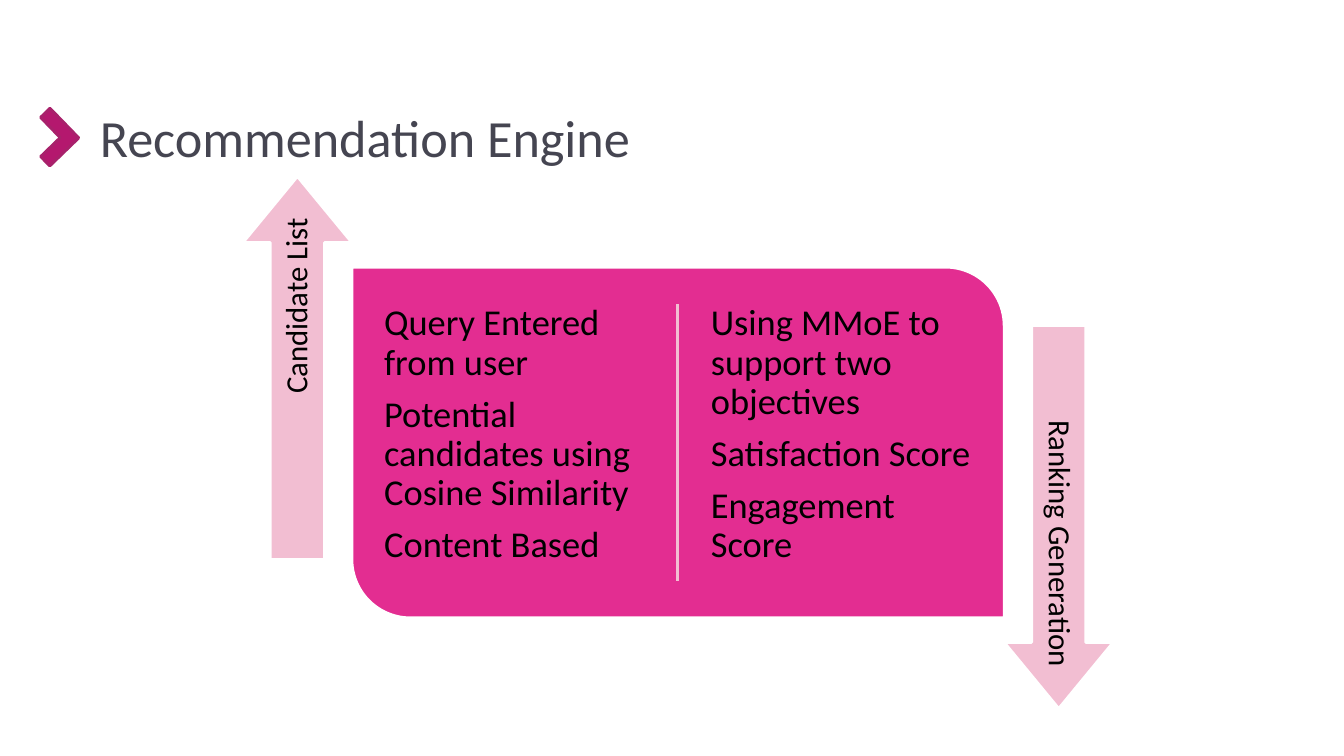
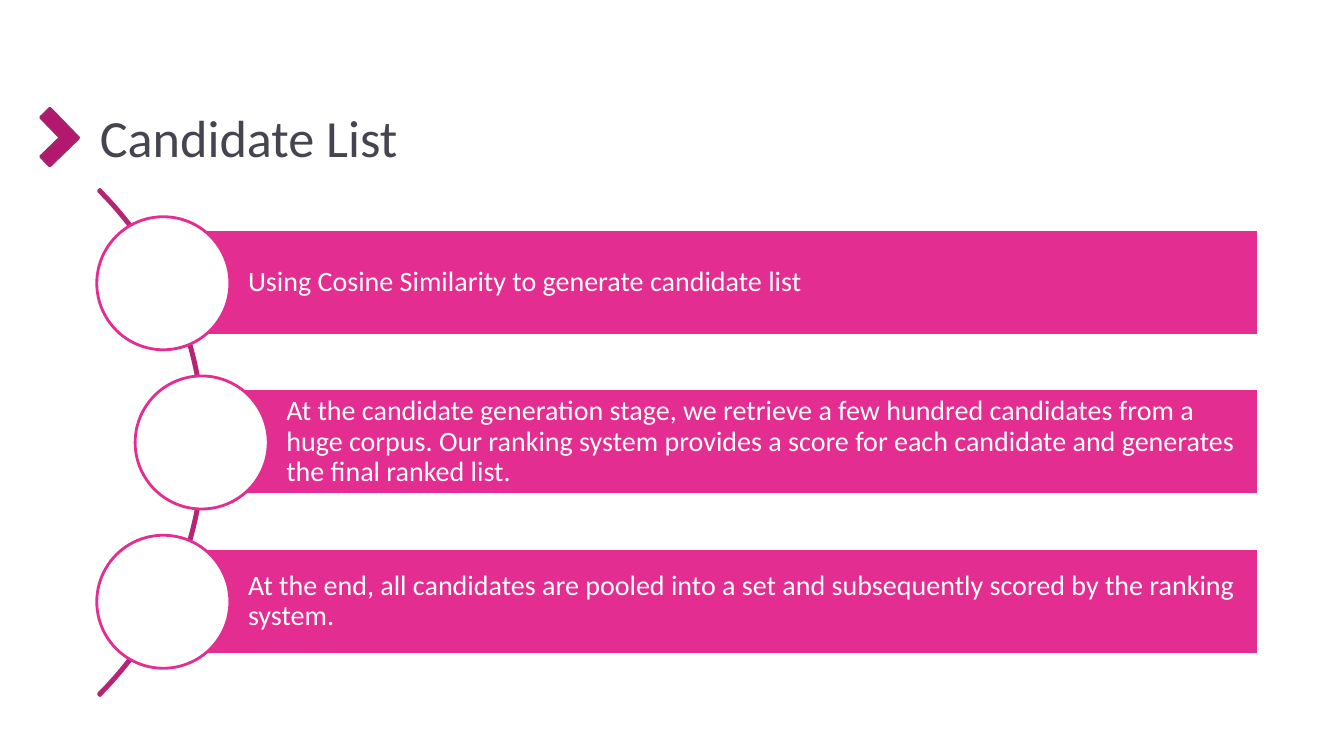
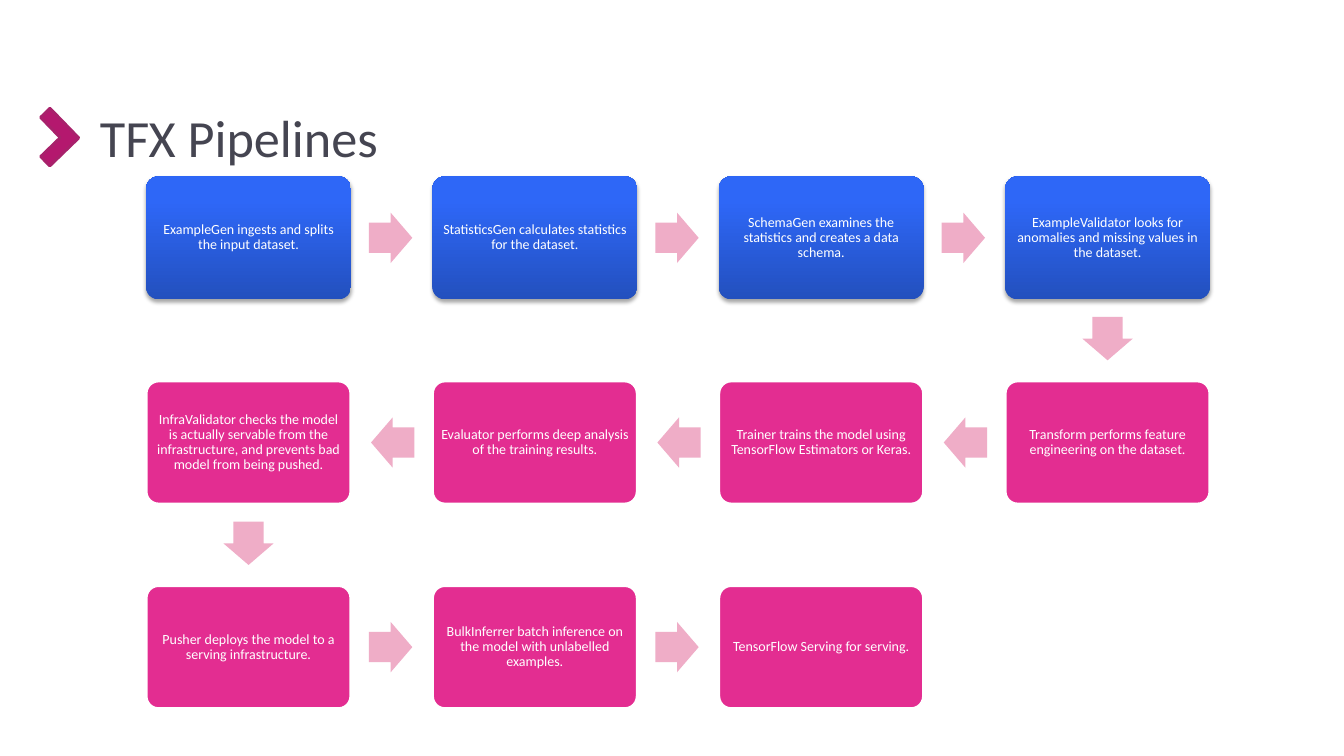
from lxml import etree
from pptx import Presentation
from pptx.dml.color import RGBColor
from pptx.enum.shapes import MSO_CONNECTOR as Link, MSO_SHAPE as Kind
from pptx.enum.text import MSO_ANCHOR as Anchor, MSO_AUTO_SIZE as Fit, PP_ALIGN as Align
from pptx.oxml import parse_xml
from pptx.oxml.ns import qn
from pptx.util import Pt

PINK = RGBColor(0xE3, 0x2D, 0x91)
ROSE = RGBColor(0xF2, 0xBE, 0xD2)
BLUSH = RGBColor(0xEF, 0xAD, 0xC7)
PLUM = RGBColor(0xB4, 0x18, 0x6E)
EDGE = RGBColor(0xA8, 0x21, 0x6B)
ARC = RGBColor(0xB6, 0x24, 0x74)
NAVY = RGBColor(0x23, 0x50, 0xBE)
BLUE = RGBColor(0x2E, 0x67, 0xF7)
SLATE = RGBColor(0x45, 0x45, 0x51)
WHITE = RGBColor(0xFF, 0xFF, 0xFF)
BLACK = RGBColor(0, 0, 0)
FONT = "Calibri"
PX = 9144

CHEVRON = [(29, 116), (42, 116), (42, 143), (70, 143), (70, 156), (29, 156)]

ENGINE = "Recommendation Engine"
LISTS = [
    ["Query Entered from user", "Potential candidates using Cosine Similarity", "Content Based"],
    ["Using MMoE to support two objectives", "Satisfaction Score", "Engagement Score"],
]
ARROWS = [
    ("Candidate List", 105, 311, 270),
    ("Ranking Generation", 860, 459, 90),
]

CANDS = "Candidate List"
BARS = [
    (162, "Using Cosine Similarity to generate candidate list"),
    (200, "At the candidate generation stage, we retrieve a few hundred candidates from a huge corpus. "
          "Our ranking system provides a score for each candidate and generates the final ranked list."),
    (162, "At the end, all candidates are pooled into a set and subsequently scored by the ranking system."),
]

PIPES = "TFX Pipelines"
STEPS = [
    "ExampleGen ingests and splits the input dataset.",
    "StatisticsGen calculates statistics for the dataset.",
    "SchemaGen examines the statistics and creates a data schema.",
    "ExampleValidator looks for anomalies and missing values in the dataset.",
    "Transform performs feature engineering on the dataset.",
    "Trainer trains the model using TensorFlow Estimators or Keras.",
    "Evaluator performs deep analysis of the training results.",
    "InfraValidator checks the model is actually servable from the infrastructure, "
    "and prevents bad model from being pushed.",
    "Pusher deploys the model to a serving infrastructure.",
    "BulkInferrer batch inference on the model with unlabelled examples.",
    "TensorFlow Serving for serving.",
]
COLS = 4

SHADE = (
    '<a:outerShdw xmlns:a="http://schemas.openxmlformats.org/drawingml/2006/main" '
    'blurRad="39370" dist="22860" dir="5400000" rotWithShape="0">'
    '<a:srgbClr val="000000"><a:alpha val="35000"/></a:srgbClr></a:outerShdw>'
)


def scale(*vals):
    return [round(v * PX) for v in vals]


def put(item, vals):
    for key, val in vals.items():
        setattr(item, key, val)


def write(shape, lines, size, color, align=Align.LEFT, anchor=Anchor.MIDDLE, pad=(4, 4, 4, 4), lead=0.9, gap=0):
    frame = shape.text_frame
    sides = ("margin_left", "margin_top", "margin_right", "margin_bottom")
    put(frame, {"word_wrap": True, "auto_size": Fit.NONE, "vertical_anchor": anchor,
                **dict(zip(sides, scale(*pad)))})
    for i, line in enumerate(lines):
        para = frame.add_paragraph() if i else frame.paragraphs[0]
        put(para, {"alignment": align, "line_spacing": lead, "space_before": Pt(0), "space_after": Pt(gap)})
        run = para.add_run()
        run.text = line
        put(run.font, {"name": FONT, "size": Pt(size)})
        run.font.color.rgb = color


def paint(shape, fill, line, turn=0):
    shape.shadow.inherit = False
    shape.rotation = turn
    shape.fill.solid()
    shape.fill.fore_color.rgb = fill
    if line is None:
        shape.line.fill.background()
    else:
        shape.line.color.rgb = line
        shape.line.width = Pt(2)


def draw(slide, kind, box, fill, line=None, adj=(), turn=0):
    shape = slide.shapes.add_shape(kind, *scale(*box))
    for i, val in enumerate(adj):
        shape.adjustments[i] = val
    paint(shape, fill, line, turn)
    return shape


def start(deck, title):
    slide = deck.slides.add_slide(deck.slide_layouts[5])
    pen = slide.shapes.build_freeform(*CHEVRON[0], scale=PX)
    pen.add_line_segments(CHEVRON[1:], close=True)
    paint(pen.convert_to_shape(), PLUM, EDGE, 225.9)
    head = slide.shapes.title
    put(head, dict(zip(("left", "top", "width", "height"), scale(89, 97, 1167, 78))))
    write(head, [title], 37.3, SLATE, pad=(10, 5, 10, 5), lead=1.0)
    return slide


def engine(deck):
    slide = start(deck, ENGINE)
    draw(slide, Kind.ROUND_2_DIAG_RECTANGLE, (349, 265, 647, 348), PINK, WHITE, (0, 0.167))
    rule = slide.shapes.add_connector(Link.STRAIGHT, *scale(672, 302, 672, 576))
    rule.line.color.rgb = ROSE
    rule.line.width = Pt(2)
    etree.SubElement(rule._element.spPr, qn("a:effectLst"))
    for i, lines in enumerate(LISTS):
        box = slide.shapes.add_textbox(*scale(370 + 324 * i, 291, 281, 295))
        write(box, lines, 26, BLACK, anchor=Anchor.TOP, pad=(11,) * 4, gap=9)
    for text, x, y, turn in ARROWS:
        arrow = draw(slide, Kind.RIGHT_ARROW, (x, y, 380, 108), ROSE, WHITE, (0.498, 0.607), turn)
        write(arrow, [text], 22, BLACK, Align.RIGHT, pad=(9,) * 4)


def cands(deck):
    slide = start(deck, CANDS)
    draw(slide, Kind.BLOCK_ARC, (-507, 84, 710, 710), ARC, ARC, (189, 27, 0.003))
    for i, (x, text) in enumerate(BARS):
        y = 228 + 158 * i
        bar = draw(slide, Kind.RECTANGLE, (x, y, 1248 - x, 105), PINK, WHITE)
        write(bar, [text], 20, WHITE, pad=(84, 6, 6, 6))
        draw(slide, Kind.OVAL, (x - 66, y - 13, 132, 132), WHITE, PINK)


def glow(card):
    card.fill.gradient()
    card.fill.gradient_angle = 90
    for stop, color, pos in zip(card.fill.gradient_stops, (NAVY, BLUE), (0, 0.8)):
        stop.color.rgb = color
        stop.position = pos
    card._element.spPr.find(qn("a:effectLst")).append(parse_xml(SHADE))


def pipes(deck):
    slide = start(deck, PIPES)
    for i, text in enumerate(STEPS):
        row, col = divmod(i, COLS)
        back = row % 2
        x = 145 + 284 * (COLS - 1 - col if back else col)
        y = 175 + 203 * row
        card = draw(slide, Kind.ROUNDED_RECTANGLE, (x, y, 203, 122), PINK, WHITE if row else None, (0.1,))
        if not row:
            glow(card)
        write(card, [text], 10, WHITE, Align.CENTER)
        if i == len(STEPS) - 1:
            continue
        if col == COLS - 1:
            dx, dy, turn = 80, 136, 90
        elif back:
            dx, dy, turn = -61, 36, 180
        else:
            dx, dy, turn = 221, 36, 0
        draw(slide, Kind.RIGHT_ARROW, (x + dx, y + dy, 43, 50), BLUSH, adj=(0.6, 0.5), turn=turn)


def main():
    deck = Presentation()
    put(deck, dict(zip(("slide_width", "slide_height"), scale(1333, 750))))
    for make in (engine, cands, pipes):
        make(deck)
    deck.save("out.pptx")


if __name__ == "__main__":
    main()
